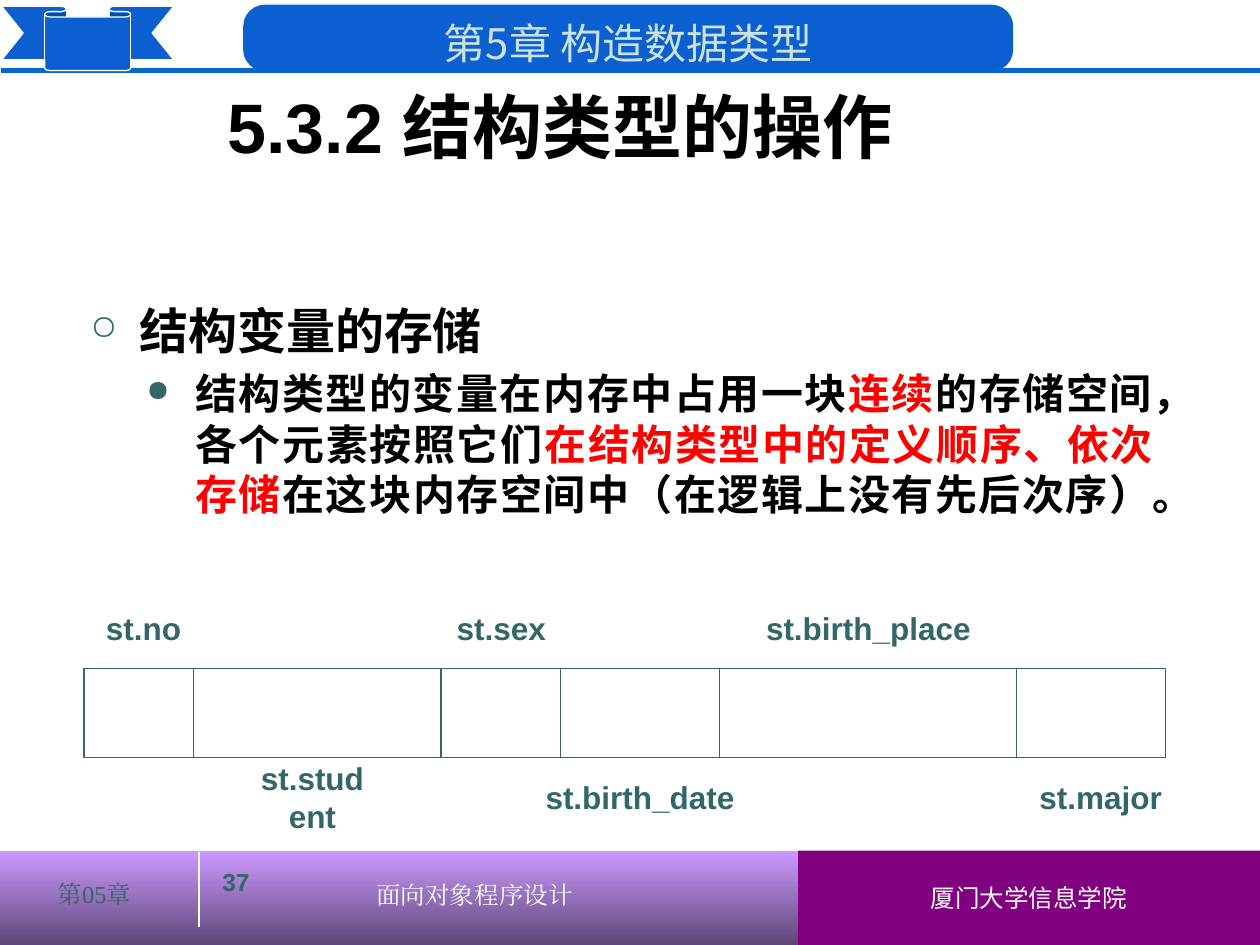
from lxml.etree import SubElement
from pptx import Presentation
from pptx.dml.color import RGBColor
from pptx.enum.shapes import MSO_CONNECTOR, MSO_SHAPE
from pptx.enum.text import MSO_ANCHOR, PP_ALIGN
from pptx.oxml.ns import qn
from pptx.util import Pt

TEAL = RGBColor(0x33, 0x66, 0x66)
BLUE = RGBColor(0x0B, 0x5F, 0xD1)
RULE_BLUE = RGBColor(0x07, 0x66, 0xD4)
PALE_TEAL = RGBColor(0xCA, 0xE2, 0xE2)
LILAC = RGBColor(0xCC, 0x99, 0xFF)
DARK_LILAC = RGBColor(0x5E, 0x47, 0x76)
PURPLE = RGBColor(0x80, 0x00, 0x80)
RED = RGBColor(0xFF, 0x00, 0x00)
BLACK = RGBColor(0x00, 0x00, 0x00)
WHITE = RGBColor(0xFF, 0xFF, 0xFF)


def add_span(para, text, size=14, color=TEAL, face="Arial", bold=False, align=PP_ALIGN.LEFT):
    para.alignment = align
    span = para.add_run()
    span.text = text
    span.font.size = Pt(size)
    span.font.bold = bold
    span.font.name = face
    span.font.color.rgb = color
    SubElement(span.font._element, qn("a:ea")).set("typeface", face)


def add_line(x1, y1, x2, y2, color, width):
    line = page.shapes.add_connector(MSO_CONNECTOR.STRAIGHT, Pt(x1), Pt(y1), Pt(x2), Pt(y2))
    line.line.color.rgb = color
    line.line.width = Pt(width)
    SubElement(line._element.spPr, qn("a:effectLst"))


deck = Presentation()
deck.slide_width = Pt(720)
deck.slide_height = Pt(540)
page = deck.slides.add_slide(deck.slide_layouts[6])

footer = page.shapes.add_shape(MSO_SHAPE.RECTANGLE, Pt(0), Pt(486), Pt(720), Pt(54))
footer.shadow.inherit = False
footer.line.fill.background()
footer.fill.gradient()
footer.fill.gradient_angle = 270
for stop, color, position in zip(footer.fill.gradient_stops, (LILAC, DARK_LILAC), (0, 1)):
    stop.color.rgb = color
    stop.position = position
add_line(113.8, 486.7, 113.8, 530, WHITE, 1)

school = page.shapes.add_shape(MSO_SHAPE.RECTANGLE, Pt(456), Pt(486), Pt(264), Pt(54))
add_line(0.7, 40.3, 720.7, 40.3, RULE_BLUE, 3)
banner = page.shapes.add_shape(MSO_SHAPE.ROUNDED_RECTANGLE, Pt(139), Pt(2.7), Pt(440), Pt(38))
banner.adjustments[0] = 0.325
ribbon = page.shapes.add_shape(MSO_SHAPE.DOWN_RIBBON, Pt(1), Pt(3.6), Pt(98.3), Pt(36.7))
memory = page.shapes.add_shape(MSO_SHAPE.RECTANGLE, Pt(48), Pt(382), Pt(618), Pt(51))

for shape, fill, outline in (
    (school, PURPLE, None),
    (banner, BLUE, None),
    (ribbon, BLUE, WHITE),
    (memory, None, TEAL),
):
    shape.shadow.inherit = False
    if fill:
        shape.fill.solid()
        shape.fill.fore_color.rgb = fill
    else:
        shape.fill.background()
    if outline:
        shape.line.color.rgb = outline
        shape.line.width = Pt(0.75)
    else:
        shape.line.fill.background()

school.text_frame.vertical_anchor = MSO_ANCHOR.MIDDLE
add_span(school.text_frame.paragraphs[0], "厦门大学信息学院", color=WHITE, align=PP_ALIGN.CENTER)
banner.text_frame.vertical_anchor = MSO_ANCHOR.TOP
add_span(banner.text_frame.paragraphs[0], "第5章 构造数据类型", size=24, color=PALE_TEAL,
         face="Noto Sans CJK SC", align=PP_ALIGN.CENTER)

for x in (110.4, 252, 320.2, 411, 581):
    add_line(x, 382, x, 433, TEAL, 0.75)

ABOVE, BELOW = 342, 438.5
for text, left, top, width in (
    ("st.no", 42.5, ABOVE, 79),
    ("st.student", 139, BELOW, 79),
    ("st.sex", 247, ABOVE, 79),
    ("st.birth_date", 286.5, BELOW, 158.5),
    ("st.major", 569.5, BELOW, 119),
    ("st.birth_place", 417, ABOVE, 158.5),
):
    box = page.shapes.add_textbox(Pt(left), Pt(top), Pt(width), Pt(34))
    box.text_frame.word_wrap = False
    box.text_frame.vertical_anchor = MSO_ANCHOR.MIDDLE
    add_span(box.text_frame.paragraphs[0], text, size=18, bold=True, align=PP_ALIGN.CENTER)

for text, left, top, width, height, anchor, style in (
    ("第05章", 0, 499, 108, 41, MSO_ANCHOR.TOP,
     dict(face="Times New Roman", align=PP_ALIGN.CENTER)),
    ("面向对象程序设计", 208, 499.5, 128, 30, MSO_ANCHOR.TOP,
     dict(face="Times New Roman", color=WHITE)),
    ("37", 120, 492, 102, 36, MSO_ANCHOR.TOP, dict(bold=True)),
    ("5.3.2 结构类型的操作", 123, 11.5, 552, 120, MSO_ANCHOR.MIDDLE,
     dict(size=40, color=BLACK, bold=True)),
):
    box = page.shapes.add_textbox(Pt(left), Pt(top), Pt(width), Pt(height))
    box.text_frame.word_wrap = True
    box.text_frame.vertical_anchor = anchor
    add_span(box.text_frame.paragraphs[0], text, **style)

body = page.shapes.add_textbox(Pt(44.6), Pt(168), Pt(621.4), Pt(350))
body.text_frame.word_wrap = True
heading = body.text_frame.paragraphs[0]
detail = body.text_frame.add_paragraph()
detail.level = 1
detail.space_before = Pt(5)
for para, bullet, indent in ((heading, "○", 28), (detail, "●", 60)):
    props = para._element.get_or_add_pPr()
    props.set("marL", str(Pt(indent)))
    props.set("indent", str(Pt(-28)))
    SubElement(SubElement(props, qn("a:buClr")), qn("a:srgbClr")).set("val", str(TEAL))
    SubElement(props, qn("a:buSzPct")).set("val", "70000")
    SubElement(props, qn("a:buChar")).set("char", bullet)

add_span(heading, "结构变量的存储", size=28, color=BLACK, bold=True, align=PP_ALIGN.JUSTIFY)
for text, color in (
    ("结构类型的变量在内存中占用一块", BLACK),
    ("连续", RED),
    ("的存储空间，各个元素按照它们", BLACK),
    ("在结构类型中的定义顺序、依次存储", RED),
    ("在这块内存空间中（在逻辑上没有先后次序）。", BLACK),
):
    add_span(detail, text, size=24, color=color, bold=True, align=PP_ALIGN.JUSTIFY)

deck.save("out.pptx")
